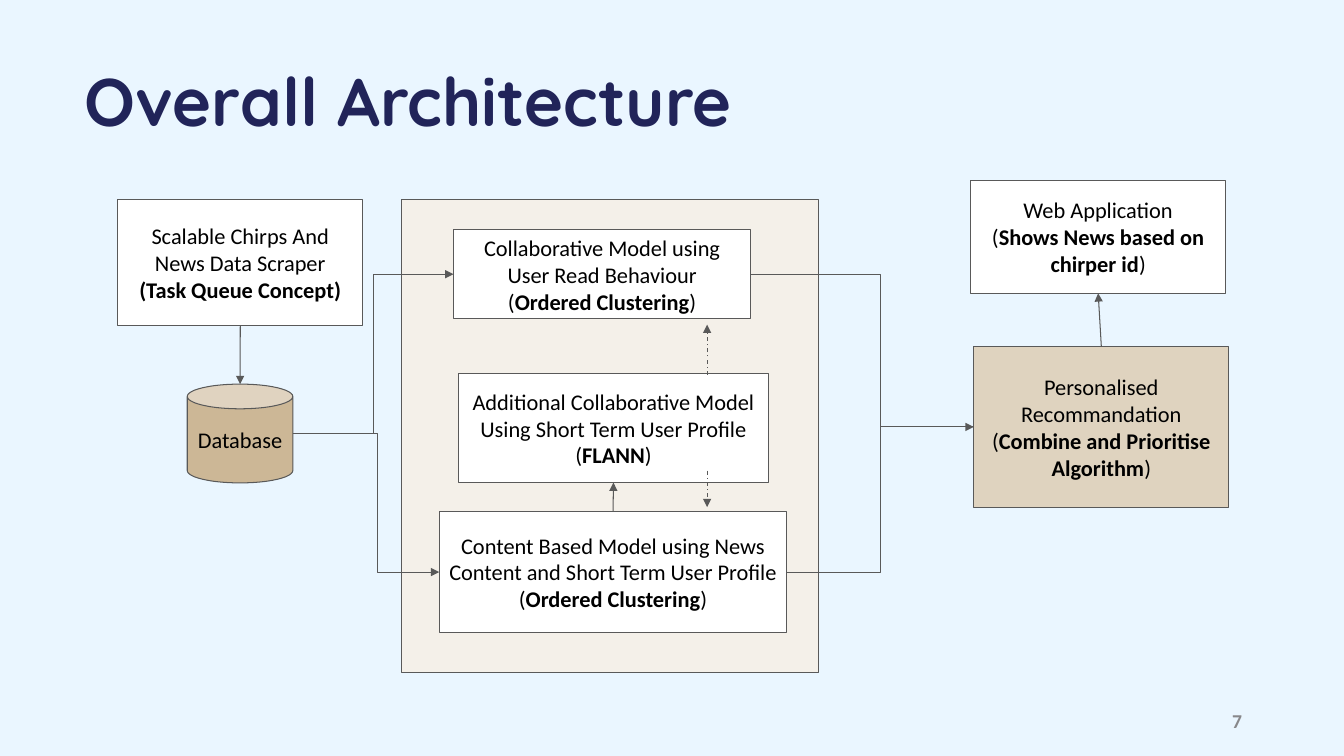
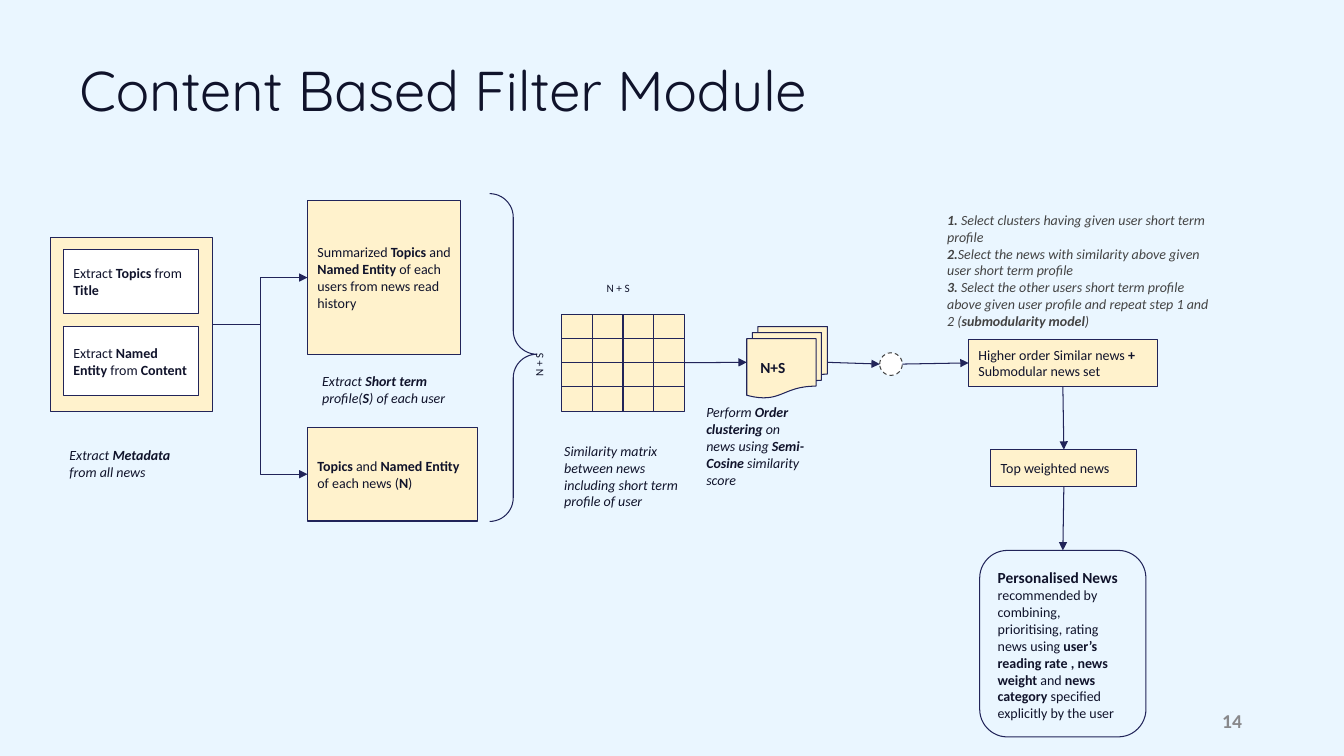
"""Build two slides on the architecture and content filter of a news recommender."""
from lxml.etree import SubElement
from pptx import Presentation
from pptx.dml.color import RGBColor
from pptx.enum.dml import MSO_LINE
from pptx.enum.shapes import MSO_CONNECTOR, MSO_SHAPE
from pptx.enum.text import MSO_ANCHOR, PP_ALIGN
from pptx.oxml.ns import qn
from pptx.util import Cm, Pt

SKY, NAVY, INK = "EAF6FF", "212459", "10132B"
WHITE, BLACK, GREY, CHARCOAL, SILVER = "FFFFFF", "000000", "595959", "434343", "88888B"
CREAM, LINEN, SAND, TAN = "FFF2CC", "F4F0E9", "DFD3BF", "CCB796"
BODY, HEADING = "Calibri", "Quicksand"
SITES = {"top": 0, "left": 1, "bottom": 2, "right": 3}
GLUED = (MSO_SHAPE.RECTANGLE, MSO_SHAPE.ROUNDED_RECTANGLE)


def rgb(value):
    """Turn a hex string into a colour."""
    return RGBColor.from_string(value)


def write(sp, paras, size, color=INK, font=BODY, align=PP_ALIGN.LEFT,
          anchor=MSO_ANCHOR.TOP, bold=None, italic=None, pad=0.25):
    """Fill a shape with paragraphs in which **double stars** mark bold."""
    tf = sp.text_frame
    tf.word_wrap = True
    tf.vertical_anchor = anchor
    tf.margin_left = tf.margin_right = Cm(0.25)
    tf.margin_top = tf.margin_bottom = Cm(pad)
    for i, text in enumerate(paras):
        p = tf.paragraphs[0] if i == 0 else tf.add_paragraph()
        p.alignment = align
        p.font.name, p.font.size = font, Pt(size)
        p.font.bold, p.font.italic = bold, italic
        p.font.color.rgb = rgb(color)
        for j, part in enumerate(text.split("**")):
            if part:
                r = p.add_run()
                r.text = part
                if j % 2:
                    r.font.bold = True
    return tf


def add_text(s, box, paras, size, **style):
    """Add a text box."""
    sp = s.shapes.add_textbox(*map(Cm, box))
    write(sp, paras, size, **style)
    return sp


def add_box(s, box, fill, line, kind=MSO_SHAPE.RECTANGLE):
    """Add an outlined preset shape."""
    sp = s.shapes.add_shape(kind, *map(Cm, box))
    sp.shadow.inherit = False
    if fill:
        sp.fill.solid()
        sp.fill.fore_color.rgb = rgb(fill)
    else:
        sp.fill.background()
    sp.line.color.rgb = rgb(line)
    sp.line.width = Pt(0.75)
    return sp


def add_model(s, box, *paras, fill=WHITE, kind=MSO_SHAPE.RECTANGLE):
    """Add a centred component of the architecture."""
    sp = add_box(s, box, fill, GREY, kind)
    write(sp, paras, 16, BLACK, align=PP_ALIGN.CENTER, anchor=MSO_ANCHOR.MIDDLE)
    return sp


def add_step(s, box, *paras, fill=CREAM, kind=MSO_SHAPE.RECTANGLE, size=10, **style):
    """Add a step of the filter flow."""
    sp = add_box(s, box, fill, NAVY, kind)
    write(sp, paras, size, **{"anchor": MSO_ANCHOR.MIDDLE, **style})
    return sp


def add_line(s, start, end, color, elbow=None, arrow=True, dash=None):
    """Add a connector, bent at a fraction of its width if elbow is given."""
    kind = MSO_CONNECTOR.STRAIGHT if elbow is None else MSO_CONNECTOR.ELBOW
    cx = s.shapes.add_connector(kind, *start, *end)
    cx.line.color.rgb = rgb(color)
    cx.line.width = Pt(0.75)
    if dash:
        cx.line.dash_style = dash
    sp_pr = cx._element.spPr
    if arrow:
        SubElement(sp_pr.find(qn("a:ln")), qn("a:tailEnd"), type="triangle")
    SubElement(sp_pr, qn("a:effectLst"))
    if elbow is not None:
        guides = sp_pr.find(qn("a:prstGeom")).get_or_add_avLst()
        SubElement(guides, qn("a:gd"), name="adj1", fmla=f"val {round(elbow * 100000)}")
    return cx


def site(sp, side):
    """Find the middle of one side of a shape."""
    x = {"left": 0, "right": sp.width}.get(side, sp.width // 2)
    y = {"top": 0, "bottom": sp.height}.get(side, sp.height // 2)
    return sp.left + x, sp.top + y


def link(s, a, b, color, sides=("right", "left"), **style):
    """Connect two shapes, gluing the ends to rectangles."""
    cx = add_line(s, site(a, sides[0]), site(b, sides[1]), color, **style)
    for sp, side, glue in ((a, sides[0], cx.begin_connect), (b, sides[1], cx.end_connect)):
        if sp.auto_shape_type in GLUED:
            glue(sp, SITES[side])


def add_slide(prs, title, box, number, size, color, bold, spacing):
    """Add a slide with its title and number."""
    s = prs.slides.add_slide(prs.slide_layouts[6])
    sp = add_text(s, box, [title], size, color=color, font=HEADING, bold=bold, pad=0.13)
    sp.text_frame.paragraphs[0].line_spacing = spacing
    add_text(s, (23.93, 17.65, 7.62, 1.02), [number], 14, color=SILVER, bold=True,
             align=PP_ALIGN.RIGHT, anchor=MSO_ANCHOR.MIDDLE, pad=0.13)
    return s


def add_matrix(s, left, top, width, height, cells=4):
    """Add a square matrix with evenly spaced grid lines."""
    sp = add_box(s, (left, top, width, height), CREAM, NAVY)
    for i in range(1, cells):
        x = sp.left + sp.width * i // cells
        y = sp.top + sp.height * i // cells
        add_line(s, (x, sp.top), (x, sp.top + sp.height), NAVY, arrow=False)
        add_line(s, (sp.left, y), (sp.left + sp.width, y), NAVY, arrow=False)
    return sp


def build_architecture(prs):
    """Build the overall architecture slide."""
    s = add_slide(prs, "Overall Architecture", (1.88, 1.37, 19.1, 2.31), "7",
                  48, NAVY, True, 1.0)
    add_box(s, (10.13, 5.03, 10.49, 11.91), LINEN, GREY)
    scraper = add_model(s, (2.97, 5.03, 6.17, 3.18),
                        "Scalable Chirps And News Data Scraper", "**(Task Queue Concept)**")
    collaborative = add_model(s, (11.43, 5.79, 7.49, 2.24),
                              "Collaborative Model using User Read Behaviour",
                              "(**Ordered Clustering**)")
    additional = add_model(s, (11.56, 9.42, 7.8, 2.74),
                           "Additional Collaborative Model Using Short Term User Profile",
                           "(**FLANN**)")
    content = add_model(s, (11.07, 12.88, 8.76, 3.07),
                        "Content Based Model using News Content and Short Term User Profile",
                        "(**Ordered Clustering**)")
    recommendation = add_model(s, (24.54, 8.74, 6.43, 4.04), "Personalised Recommandation",
                               "(**Combine and Prioritise Algorithm**)", fill=SAND)
    web = add_model(s, (24.46, 4.55, 6.43, 2.84), "Web Application",
                    "(**Shows News based on chirper id**)")
    database = add_model(s, (4.72, 9.68, 2.66, 2.49), "Database", fill=TAN, kind=MSO_SHAPE.CAN)

    link(s, scraper, database, GREY, ("bottom", "top"))
    link(s, database, collaborative, GREY, elbow=0.5)
    link(s, database, content, GREY, elbow=0.58)
    link(s, content, additional, GREY, ("top", "bottom"))
    link(s, collaborative, recommendation, GREY, elbow=0.58, arrow=False)
    link(s, content, recommendation, GREY, elbow=0.5)
    link(s, recommendation, web, GREY, ("top", "bottom"))
    for y1, y2 in ((11.86, 12.78), (9.45, 8.18)):
        add_line(s, (Cm(17.82), Cm(y1)), (Cm(17.82), Cm(y2)), GREY, dash=MSO_LINE.DASH_DOT)


def build_filter(prs):
    """Build the content based filter slide."""
    s = add_slide(prs, "Content Based Filter Module", (1.75, 1.47, 25.96, 1.6), "14",
                  40, INK, None, 0.9)
    metadata = add_box(s, (1.27, 5.99, 4.09, 4.39), CREAM, NAVY)
    add_step(s, (1.6, 6.3, 3.4, 1.6), "Extract **Topics** from **Title**", fill=WHITE)
    add_step(s, (1.6, 8.23, 3.4, 1.75), "Extract **Named Entity** from **Content**", fill=WHITE)
    history = add_step(s, (7.75, 5.05, 3.86, 3.89),
                       "Summarized **Topics** and **Named Entity** of each users "
                       "from news read history")
    news = add_step(s, (7.75, 10.77, 4.29, 2.36),
                    "**Topics** and **Named Entity** of each news (**N**)")
    brace = add_box(s, (12.34, 4.88, 1.19, 8.26), None, NAVY, MSO_SHAPE.RIGHT_BRACE)
    brace.adjustments[0], brace.adjustments[1] = 0.5, 0.49
    matrix = add_matrix(s, 14.15, 7.92, 3.1, 2.44)
    for box, angle in (((12.7, 8.79, 1.9, 0.81), 270), ((14.73, 6.91, 1.7, 1.02), 0)):
        sp = add_text(s, box, ["N + S"], 8, align=PP_ALIGN.CENTER)
        sp.rotation = angle
    clusters = add_step(s, (18.82, 8.23, 2.03, 1.8), "N+S", size=11, bold=True,
                        kind=MSO_SHAPE.FLOWCHART_MULTIDOCUMENT)
    clusters.text_frame.margin_left = Cm(0.34)
    junction = add_box(s, (22.17, 8.89, 0.57, 0.57), WHITE, CHARCOAL, MSO_SHAPE.OVAL)
    junction.line.dash_style = MSO_LINE.DASH
    similar = add_step(s, (24.41, 8.56, 4.75, 1.17),
                       "Higher order Similar news **+** Submodular news set")
    top_news = add_step(s, (24.97, 11.33, 3.68, 0.94), "Top weighted news")
    personal = add_step(s, (24.69, 13.87, 4.19, 4.7), "**Personalised News**",
                        "recommended by combining, prioritising, rating news using "
                        "**user’s reading rate , news weight** and **news category** "
                        "specified explicitly by the user",
                        fill=SKY, kind=MSO_SHAPE.ROUNDED_RECTANGLE, anchor=MSO_ANCHOR.TOP)
    personal.text_frame.paragraphs[0].font.size = Pt(11)

    captions = (
        ((1.5, 11, 3.58, 1.37), "Extract **Metadata** from all news"),
        ((7.87, 9.14, 4.19, 1.37), "Extract **Short term** profile(**S**) of each user"),
        ((13.97, 10.9, 3.81, 2.24),
         "Similarity matrix between news including short term profile of user"),
        ((17.55, 9.93, 3.05, 2.64),
         "Perform **Order clustering** on news using **Semi-Cosine** similarity score"),
    )
    for box, text in captions:
        add_text(s, box, [text], 10, italic=True)
    add_text(s, (23.62, 5.08, 7.19, 3.51), [
        "**1.** Select clusters having given user short term profile",
        "**2.**Select the news with similarity above given user short term profile",
        "**3.** Select the other users short term profile above given user profile "
        "and repeat step 1 and 2 (**submodularity model**)",
    ], 10, color=CHARCOAL, italic=True)

    for target in (history, news):
        link(s, metadata, target, NAVY, elbow=0.5)
    flow = (matrix, clusters, junction, similar)
    for a, b in zip(flow, flow[1:]):
        link(s, a, b, NAVY)
    for a, b in ((similar, top_news), (top_news, personal)):
        link(s, a, b, NAVY, ("bottom", "top"))


def main():
    """Build and save the presentation."""
    prs = Presentation()
    prs.slide_width, prs.slide_height = Cm(33.87), Cm(19.05)
    fill = prs.slide_master.background.fill
    fill.solid()
    fill.fore_color.rgb = rgb(SKY)
    build_architecture(prs)
    build_filter(prs)
    prs.save("out.pptx")


if __name__ == "__main__":
    main()
